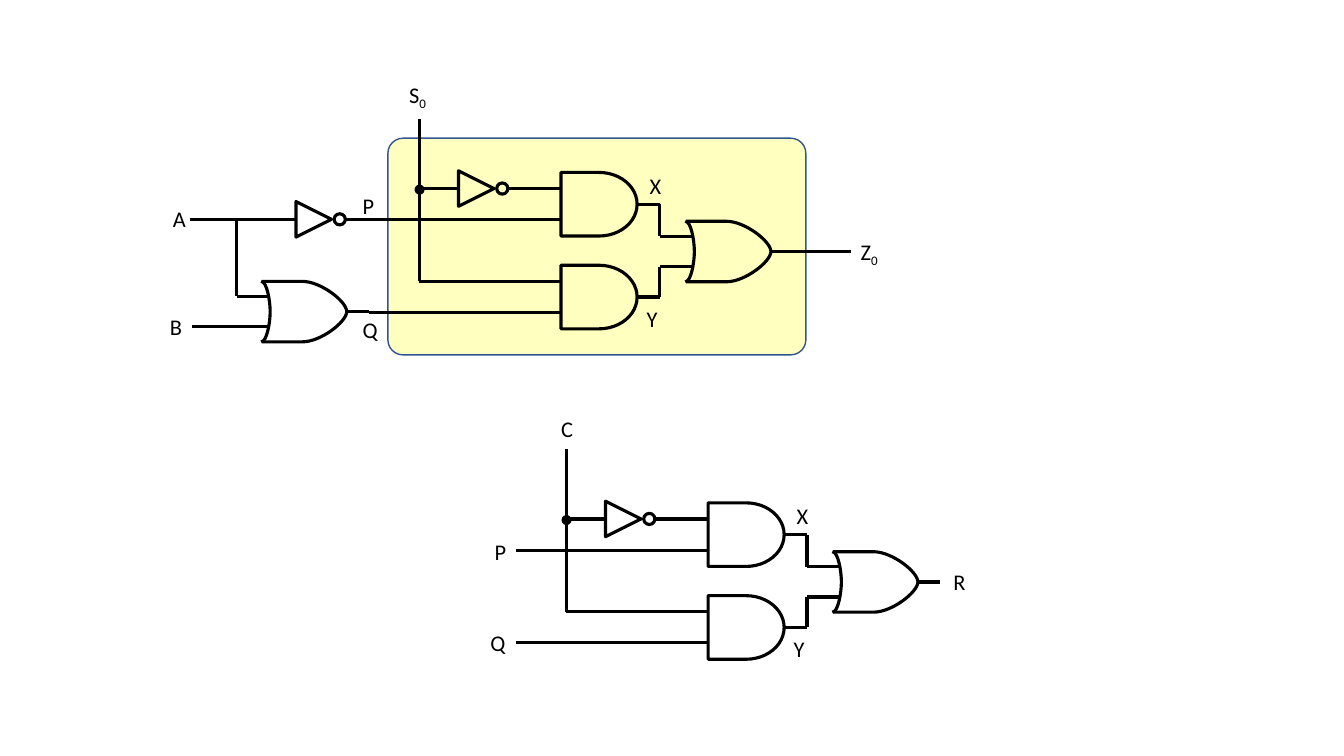
from dataclasses import dataclass

from lxml.etree import SubElement
from pptx import Presentation
from pptx.dml.color import RGBColor
from pptx.enum.shapes import MSO_CONNECTOR as Connector, MSO_SHAPE as Shape
from pptx.enum.text import MSO_AUTO_SIZE as AutoSize
from pptx.oxml.ns import qn
from pptx.util import Pt


@dataclass(frozen=True)
class Theme:
    ink: str = "000000"
    panel: str = "FFFF00"
    panel_opacity: int = 25
    panel_line: str = "325491"
    panel_line_width: float = 1
    wire_width: float = 2.25
    font: str = "Calibri"
    label_size: int = 16


class Circuit:
    AND_WIDTH, AND_HEIGHT = 54.3, 45.4
    OR_WIDTH, OR_HALF = 60.5, 21.6
    OR_PIN = 10.8
    TRIANGLE, BUBBLE = 25.4, 8
    INVERTER_WIDTH = 35.3

    def __init__(self, slide, theme):
        self.shapes = slide.shapes
        self.theme = theme

    def style(self, shape, fill=None, line=None, width=None):
        shape.shadow.inherit = False
        if fill:
            shape.fill.solid()
            shape.fill.fore_color.rgb = RGBColor.from_string(fill)
        else:
            shape.fill.background()
        if line:
            shape.line.color.rgb = RGBColor.from_string(line)
            shape.line.width = Pt(width or self.theme.wire_width)
        else:
            shape.line.fill.background()

    def preset(self, kind, x, y, width, height):
        return self.shapes.add_shape(kind, Pt(x), Pt(y), Pt(width), Pt(height))

    def outlined(self, kind, x, y, width, height):
        shape = self.preset(kind, x, y, width, height)
        self.style(shape, line=self.theme.ink)
        return shape

    def panel(self, x, y, width, height):
        shape = self.preset(Shape.ROUNDED_RECTANGLE, x, y, width, height)
        shape.adjustments[0] = 0.07
        self.style(shape, self.theme.panel, self.theme.panel_line, self.theme.panel_line_width)
        color = shape._element.spPr.find(qn("a:solidFill"))[0]
        SubElement(color, qn("a:alpha")).set("val", str(self.theme.panel_opacity * 1000))

    def wire(self, *points):
        for (x1, y1), (x2, y2) in zip(points, points[1:]):
            line = self.shapes.add_connector(Connector.STRAIGHT, Pt(x1), Pt(y1), Pt(x2), Pt(y2))
            line.line.color.rgb = RGBColor.from_string(self.theme.ink)
            line.line.width = Pt(self.theme.wire_width)
            SubElement(line._element.spPr, qn("a:effectLst"))

    def junction(self, x, y, size=7.2):
        dot = self.preset(Shape.OVAL, x - size / 2, y - size / 2, size, size)
        self.style(dot, self.theme.ink)

    def label(self, text, x, y, subscript="", width=23):
        box = self.shapes.add_textbox(Pt(x), Pt(y), Pt(width), Pt(26.6))
        box.text_frame.word_wrap = False
        box.text_frame.auto_size = AutoSize.SHAPE_TO_FIT_TEXT
        paragraph = box.text_frame.paragraphs[0]
        paragraph.text = text
        if subscript:
            run = paragraph.add_run()
            run.text = subscript
            run._r.get_or_add_rPr().set("baseline", "-25000")
        for run in paragraph.runs:
            run.font.name = self.theme.font
            run.font.size = Pt(self.theme.label_size)
            run.font.color.rgb = RGBColor.from_string(self.theme.ink)

    def inverter(self, x, y):
        size, bubble = self.TRIANGLE, self.BUBBLE
        triangle = self.outlined(Shape.ISOSCELES_TRIANGLE, x, y - size / 2, size, size)
        triangle.rotation = 90
        self.outlined(Shape.OVAL, x + self.INVERTER_WIDTH - bubble, y - bubble / 2, bubble, bubble)

    def and_gate(self, x, y):
        top = y - self.AND_HEIGHT / 2
        self.outlined(Shape.FLOWCHART_DELAY, x, top, self.AND_WIDTH, self.AND_HEIGHT)

    def mirrored_curve(self, x, y, upper_half, first_curve):
        lower_half = [(px, -py) for px, py in reversed(upper_half[:-1])]
        points = [(Pt(x + px), Pt(y + py)) for px, py in upper_half + lower_half]
        builder = self.shapes.build_freeform(*points[0])
        builder.add_line_segments(points[1:], close=False)
        shape = builder.convert_to_shape()
        self.style(shape, line=self.theme.ink)
        outline = next(shape._element.iter(qn("a:path")))
        segments = outline.findall(qn("a:lnTo"))
        for start in (first_curve, first_curve + 3):
            curve = outline.makeelement(qn("a:cubicBezTo"))
            segments[start].addprevious(curve)
            for segment in segments[start:start + 3]:
                curve.append(segment[0])
                outline.remove(segment)

    def or_gate(self, x, y):
        half, width = self.OR_HALF, self.OR_WIDTH
        body = [(0, -half), (28.8, -half), (42, -half), (width, -7.2), (width, 0)]
        back = [(-0.7, -half), (3.6, -half), (5.8, -7.2), (5.8, 0)]
        self.mirrored_curve(x, y, body, first_curve=1)
        self.mirrored_curve(x, y, back, first_curve=0)

    def multiplexer(self, x, y, output_length):
        and_x, or_x, or_y, elbow = x + 101.3, x + 190.7, y + 94.7, x + 171.9
        inverter_x, inverter_y = x + 28, y + 49.7
        pins = {"P": y + 72, "select": y + 116, "Q": y + 138.2}
        self.wire((x, inverter_y), (inverter_x, inverter_y))
        self.inverter(inverter_x, inverter_y)
        self.wire((inverter_x + self.INVERTER_WIDTH, inverter_y), (and_x, inverter_y))
        for name in ("P", "Q"):
            self.wire((x - 36, pins[name]), (and_x, pins[name]))
        self.wire((x, y), (x, pins["select"]), (and_x, pins["select"]))
        self.junction(x + 0.2, inverter_y + 0.8)
        for and_y, side in ((y + 60.9, -1), (y + 127.2, 1)):
            pin_y = or_y + side * self.OR_PIN
            self.and_gate(and_x, and_y)
            self.wire((and_x + self.AND_WIDTH, and_y), (elbow, and_y),
                      (elbow, pin_y), (or_x + 5.3, pin_y))
        self.or_gate(or_x, or_y)
        output_x = or_x + self.OR_WIDTH
        self.wire((output_x, or_y), (output_x + output_length, or_y))
        self.label("X", x + 157.4, y + 34.4)
        self.label("Y", x + 155.3, y + 129.4, width=22.3)

    def input_stage(self, a_y, q_y):
        inverter_x, or_x, end_x, branch_x = 211.4, 187.2, 263.5, 169.2
        upper_pin, lower_pin = q_y - self.OR_PIN, q_y + self.OR_PIN
        self.wire((135.4, a_y), (inverter_x, a_y))
        self.inverter(inverter_x, a_y)
        self.wire((inverter_x + self.INVERTER_WIDTH, a_y), (end_x, a_y))
        self.wire((branch_x, a_y), (branch_x, upper_pin), (or_x + 5.3, upper_pin))
        self.wire((137.5, lower_pin), (or_x + 5.3, lower_pin))
        self.or_gate(or_x, q_y)
        self.wire((or_x + self.OR_WIDTH, q_y), (end_x, q_y))


presentation = Presentation()
presentation.slide_width, presentation.slide_height = Pt(960), Pt(540)
slide = presentation.slides.add_slide(presentation.slide_layouts[6])
circuit = Circuit(slide, Theme())

circuit.panel(277.1, 98.7, 298.6, 154.8)
circuit.input_stage(156.7, 222.6)
circuit.multiplexer(299.5, 85, output_length=57)
circuit.multiplexer(404.5, 321, output_length=16)

for text, x, y in (
    ("A", 116.4, 142.8), ("B", 114.3, 220.3),
    ("P", 252, 133.9), ("P", 346.3, 380.9),
    ("C", 393.8, 293), ("R", 673.9, 402.5),
):
    circuit.label(text, x, y)
for x, y in ((252, 222.5), (343.2, 446.2)):
    circuit.label("Q", x, y, width=25.2)
for text, x, y in (("S", 285.1, 54.2), ("Z", 607.7, 166.3)):
    circuit.label(text, x, y, subscript="0", width=27.4)

presentation.save("out.pptx")
